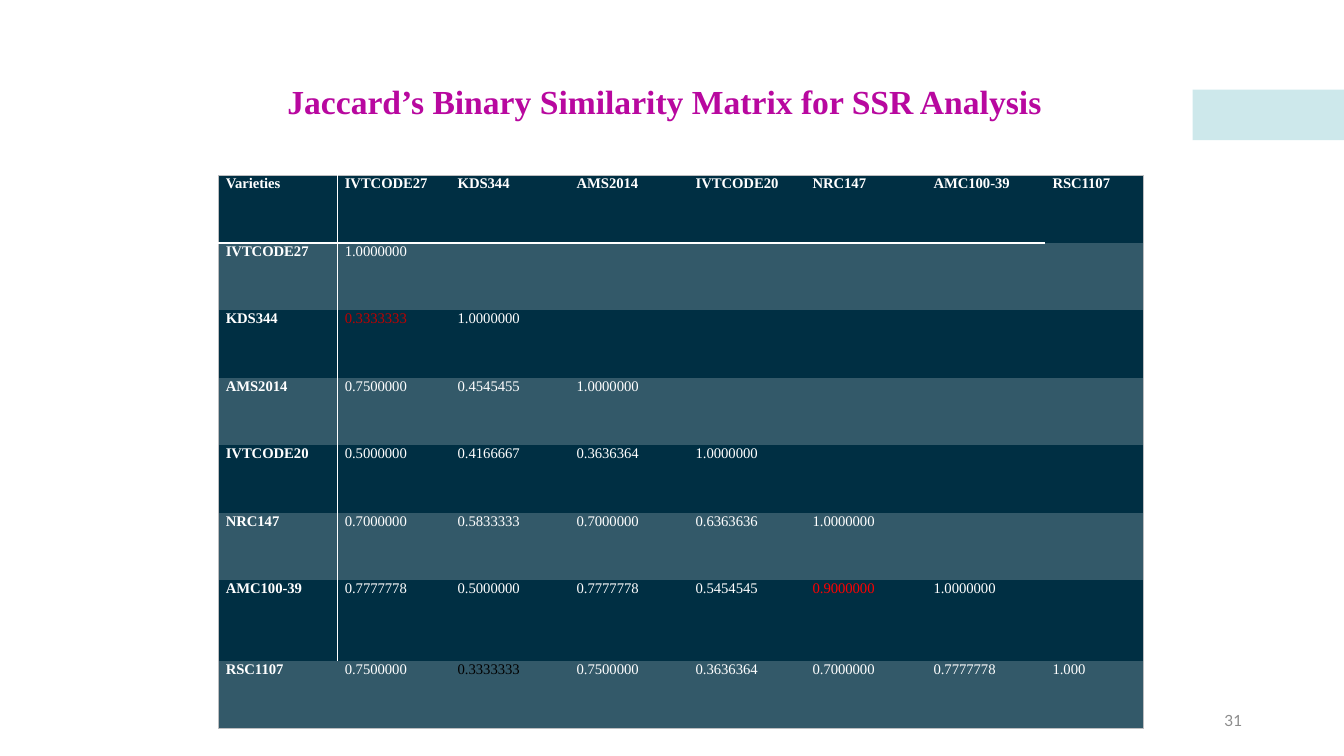
from lxml import etree
from pptx import Presentation
from pptx import util as u
from pptx.dml.color import RGBColor
from pptx.enum import shapes, text
from pptx.oxml import ns

WHITE, GREY = "FFFFFF", "BDBEC0"


def style(font, size, color, bold=False, name="Times New Roman"):
    font.name, font.size, font.bold = name, u.Pt(size), bold
    font.color.rgb = RGBColor.from_string(color)


def add_border(cell, side, color, width):
    line = etree.SubElement(cell._tc.get_or_add_tcPr(), ns.qn("a:ln" + side), w=str(u.Pt(width)))
    fill = etree.SubElement(line, ns.qn("a:solidFill"))
    etree.SubElement(fill, ns.qn("a:srgbClr"), val=color)


deck = Presentation()
deck.slide_width, deck.slide_height = u.Inches(13.33), u.Inches(7.5)
page = deck.slides.add_slide(deck.slide_layouts[5])

# Translucent accent at the right edge
accent = page.shapes.add_shape(shapes.MSO_SHAPE.RECTANGLE, u.Inches(11.83), u.Inches(0.89),
                               u.Inches(1.5), u.Inches(0.5))
accent.shadow.inherit = False
accent.line.fill.background()
accent.fill.solid()
accent.fill.fore_color.rgb = RGBColor.from_string("9CD3D9")
accent_color = accent._element.spPr.find(".//" + ns.qn("a:srgbClr"))
etree.SubElement(accent_color, ns.qn("a:alpha"), val="50000")

# Slide number
box = page.shapes.add_textbox(u.Inches(9.42), u.Inches(6.95), u.Inches(3), u.Inches(0.4))
box.text_frame.word_wrap = True
box.text_frame.vertical_anchor = text.MSO_ANCHOR.MIDDLE
para = box.text_frame.paragraphs[0]
para.text = "31"
para.alignment = text.PP_ALIGN.RIGHT
style(para.runs[0].font, 11, "8C8C8C", name="Lato")

# Title
title = page.shapes.title
title.left, title.top = u.Inches(2), u.Inches(0.75)
title.width, title.height = u.Inches(9.5), u.Inches(0.5)
frame = title.text_frame
frame.text = "Jaccard’s Binary Similarity Matrix for SSR Analysis"
frame.margin_left = u.Inches(0.85)
frame.vertical_anchor = text.MSO_ANCHOR.TOP
frame.paragraphs[0].alignment = text.PP_ALIGN.LEFT
style(frame.paragraphs[0].runs[0].font, 24, "B8089F", True)

# Lower triangle of the similarity matrix
similarities = {
    "IVTCODE27": ["1.0000000"],
    "KDS344": ["0.3333333", "1.0000000"],
    "AMS2014": ["0.7500000", "0.4545455", "1.0000000"],
    "IVTCODE20": ["0.5000000", "0.4166667", "0.3636364", "1.0000000"],
    "NRC147": ["0.7000000", "0.5833333", "0.7000000", "0.6363636", "1.0000000"],
    "AMC100-39": ["0.7777778", "0.5000000", "0.7777778", "0.5454545", "0.9000000", "1.0000000"],
    "RSC1107": ["0.7500000", "0.3333333", "0.7500000", "0.3636364", "0.7000000", "0.7777778",
                "1.000"],
}
rows = [["Varieties", *similarities]]
rows += [[variety, *values] for variety, values in similarities.items()]
highlights = {(2, 1): "C00000", (6, 5): "FF0000", (7, 2): "000000"}
widths = [1.18, 1.12, 1.18, 1.18, 1.16, 1.2, 1.18, 0.97]
heights = [0.67] * 6 + [0.8, 0.67]
last = len(rows) - 1

table = page.shapes.add_table(len(rows), len(widths), u.Inches(2.17), u.Inches(1.74),
                              u.Inches(sum(widths)), u.Inches(sum(heights))).table
# Built-in style without fills or grid lines
table._tbl.tblPr.find(ns.qn("a:tableStyleId")).text = "{2D5ABB26-0587-4C30-8999-92F81FD0307C}"
for column, width in zip(table.columns, widths):
    column.width = u.Inches(width)

for r, height in enumerate(heights):
    table.rows[r].height = u.Inches(height)
    for c in range(len(widths)):
        cell = table.cell(r, c)
        cell.margin_left = cell.margin_right = u.Inches(0.07)
        cell.margin_top = cell.margin_bottom = 0

        # Borders: thin outer frame, white rules beside and below the headings
        if c == 0:
            add_border(cell, "L", GREY, 0.5)
            if r < last:
                add_border(cell, "R", WHITE, 1)
        if c == last:
            add_border(cell, "R", GREY, 0.5)
        if r == 0:
            add_border(cell, "T", GREY, 0.5)
            if c < last:
                add_border(cell, "B", WHITE, 1.5)
        if r == last:
            add_border(cell, "B", GREY, 0.5)

        cell.fill.solid()
        cell.fill.fore_color.rgb = RGBColor.from_string("335969" if r % 2 else "002F43")
        if c < len(rows[r]):
            cell.text_frame.text = rows[r][c]
            span = cell.text_frame.paragraphs[0].runs[0]
            style(span.font, 10.5, highlights.get((r, c), WHITE), r == 0 or c == 0)

deck.save("out.pptx")
